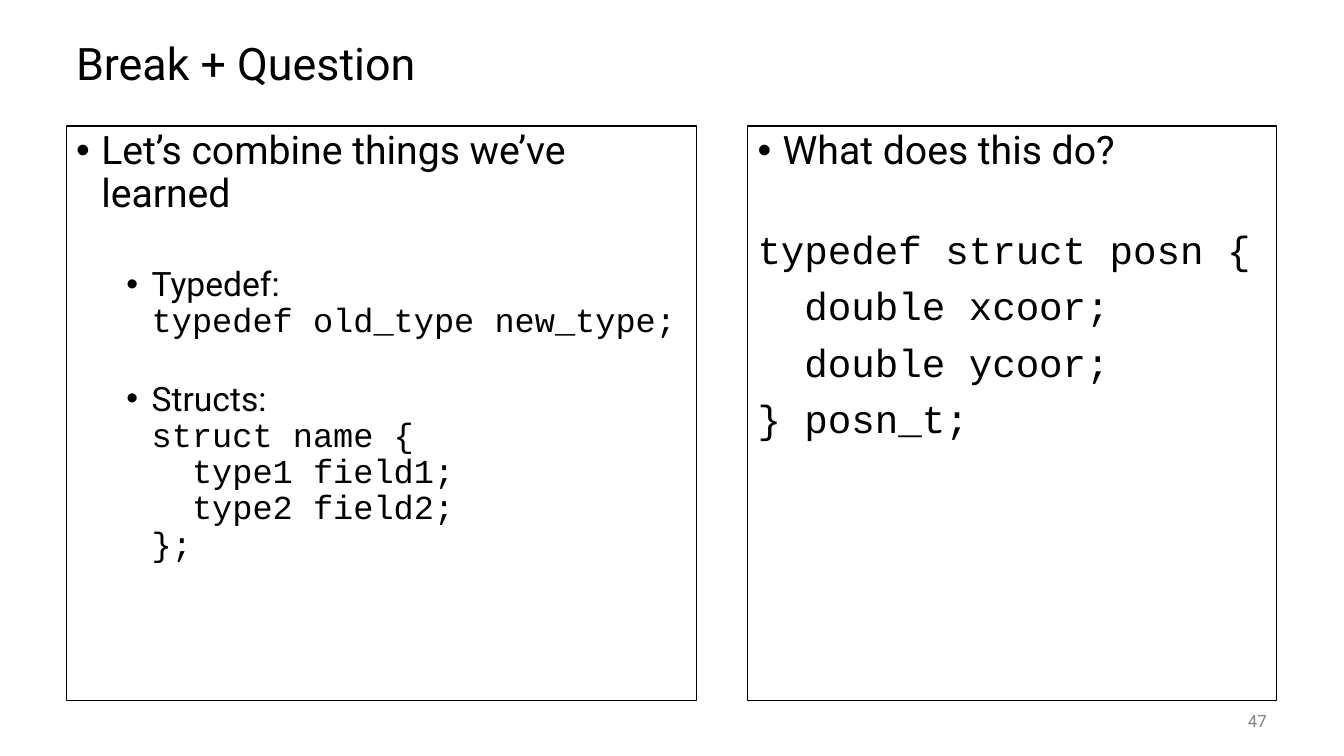
from lxml.etree import SubElement
from pptx import Presentation
from pptx.dml.color import RGBColor
from pptx.enum.shapes import MSO_SHAPE
from pptx.enum.text import MSO_ANCHOR, PP_ALIGN
from pptx.oxml.ns import qn
from pptx.util import Pt

PX = 9525
COLORS = {"ink": "000000", "number": "808080"}
BODY_FONT, CODE_FONT = "Roboto", "Courier New"
HEADING, DETAIL = 28, 24


def color(name):
    return RGBColor.from_string(COLORS[name])


def style(font, size, face=BODY_FONT, ink="ink"):
    font.size = Pt(size)
    font.name = face
    font.color.rgb = color(ink)


def add_label(slide, box, text, size, ink="ink", align=PP_ALIGN.LEFT):
    """One line of text, centred vertically in its box."""
    frame = slide.shapes.add_textbox(*(PX * side for side in box)).text_frame
    frame.word_wrap = True
    frame.vertical_anchor = MSO_ANCHOR.MIDDLE
    line = frame.paragraphs[0]
    line.text = text
    line.alignment = align
    style(line.font, size, ink=ink)


def add_panel(slide, box):
    """Outlined panel; returns its empty text frame."""
    panel = slide.shapes.add_shape(MSO_SHAPE.RECTANGLE, *(PX * side for side in box))
    panel.shadow.inherit = False
    panel.fill.background()
    panel.line.color.rgb = color("ink")
    panel.line.width = Pt(0.75)
    frame = panel.text_frame
    frame.word_wrap = True
    frame.vertical_anchor = MSO_ANCHOR.TOP
    return frame


def add_line(frame, text, size, face=BODY_FONT, before=0, bullet_at=None, code=()):
    """A paragraph, optionally bulleted and followed by lines of code."""
    first = frame.paragraphs[0]
    line = frame.add_paragraph() if first.runs else first
    line.alignment = PP_ALIGN.LEFT
    line.line_spacing = 0.9
    line.space_before = Pt(before)
    if bullet_at is not None:
        properties = line._p.get_or_add_pPr()
        properties.set("marL", str((bullet_at + 24) * PX))
        properties.set("indent", str(-24 * PX))
        SubElement(properties, qn("a:buFont"), typeface="Arial")
        SubElement(properties, qn("a:buChar"), char="•")
    line.add_run().text = text
    style(line.font, size, face)
    for code_line in code:
        line.add_line_break()
        run = line.add_run()
        run.text = code_line
        run.font.name = CODE_FONT


def add_recap(slide, box):
    frame = add_panel(slide, box)
    add_line(frame, "Let’s combine things we’ve learned", HEADING, bullet_at=0)
    add_line(frame, "Typedef:", DETAIL, before=37, bullet_at=48,
             code=["typedef old_type new_type;"])
    add_line(frame, "Structs:", DETAIL, before=30, bullet_at=48,
             code=["struct name {", "  type1 field1;", "  type2 field2;", "};"])


def add_question(slide, box):
    frame = add_panel(slide, box)
    add_line(frame, "What does this do?", HEADING, bullet_at=0)
    program = ["typedef struct posn {", "  double xcoor;", "  double ycoor;", "} posn_t;"]
    for index, code_line in enumerate(program):
        add_line(frame, code_line, HEADING, CODE_FONT, before=10 if index else 41)


def main():
    deck = Presentation()
    deck.slide_width, deck.slide_height = 1280 * PX, 720 * PX
    slide = deck.slides.add_slide(deck.slide_layouts[6])

    # Title
    add_label(slide, (63, 24, 1152, 72), "Break + Question", 32)
    # Recap on the left, question on the right
    add_recap(slide, (63, 120, 600, 547))
    add_question(slide, (712, 120, 504, 547))
    # Slide number
    add_label(slide, (1120, 667, 96, 38), "47", 12, "number", PP_ALIGN.RIGHT)

    deck.save("out.pptx")


if __name__ == "__main__":
    main()
